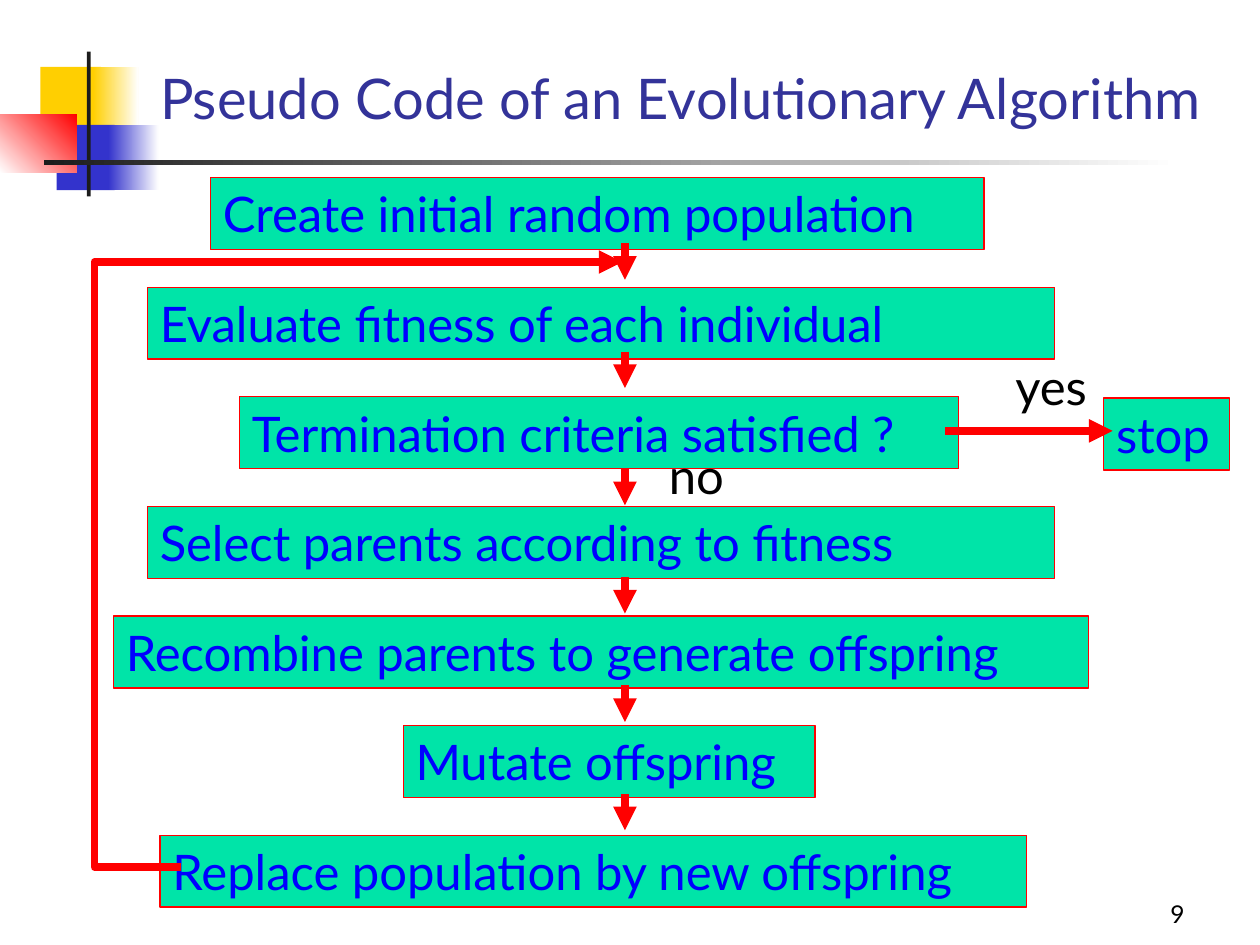
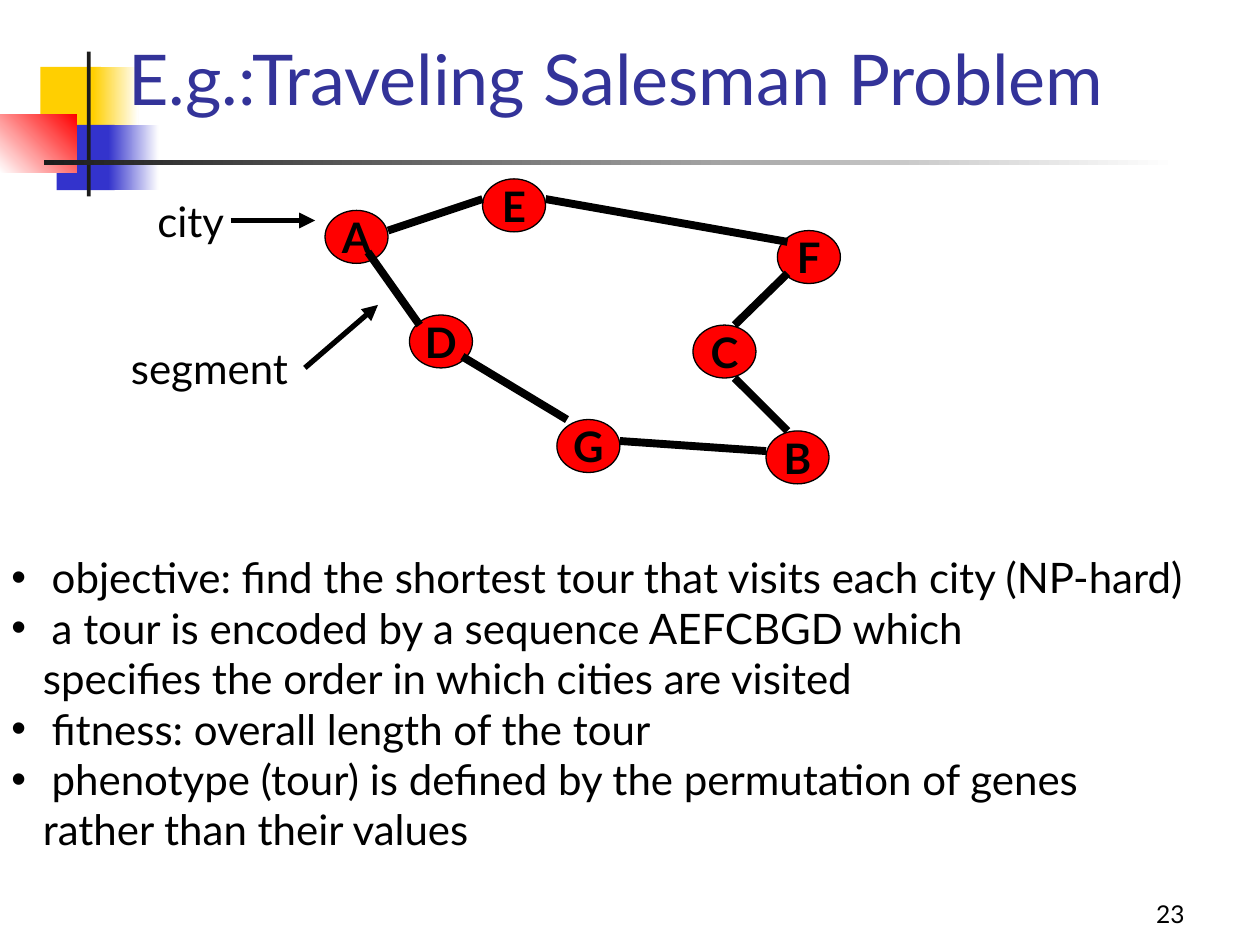
from lxml import etree
from pptx import Presentation
from pptx.dml.color import RGBColor
from pptx.enum.shapes import MSO_CONNECTOR, MSO_SHAPE
from pptx.enum.text import MSO_ANCHOR, MSO_AUTO_SIZE, PP_ALIGN
from pptx.oxml.ns import qn
from pptx.util import Pt

PX = 9144
FONT = "Lato"
RECT, OVAL = MSO_SHAPE.RECTANGLE, MSO_SHAPE.OVAL
STRAIGHT = MSO_CONNECTOR.STRAIGHT
LEFT, CENTER, RIGHT = PP_ALIGN.LEFT, PP_ALIGN.CENTER, PP_ALIGN.RIGHT
TOP, MIDDLE, BOTTOM = MSO_ANCHOR.TOP, MSO_ANCHOR.MIDDLE, MSO_ANCHOR.BOTTOM
FIXED, GROW = MSO_AUTO_SIZE.NONE, MSO_AUTO_SIZE.SHAPE_TO_FIT_TEXT

BLACK = RGBColor(0x00, 0x00, 0x00)
WHITE = RGBColor(0xFF, 0xFF, 0xFF)
RED = RGBColor(0xFF, 0x00, 0x00)
BLUE = RGBColor(0x00, 0x00, 0xFF)
MINT = RGBColor(0x00, 0xE4, 0xA8)
GOLD = RGBColor(0xFF, 0xCF, 0x01)
INDIGO = RGBColor(0x33, 0x33, 0xCC)
NAVY = RGBColor(0x33, 0x33, 0x99)
INK = RGBColor(0x1C, 0x1C, 0x1C)

BANDS = [
    (32, 53, 48, 52, GOLD, None, 0),
    (74, 53, 36, 52, GOLD, WHITE, 0),
    (45, 99, 46, 52, INDIGO, None, 0),
    (86, 99, 40, 52, INDIGO, WHITE, 0),
    (0, 91, 61, 46, WHITE, RED, 45),
    (69, 41, 3, 115, INK, None, 0),
    (35, 127, 900, 4, INK, WHITE, 0),
]
STEPS = [
    ("Create initial random population", 92, 614),
    ("Evaluate fitness of each individual", 42, 720),
    ("Termination criteria satisfied ?", 115, 571),
    ("Select parents according to fitness", 42, 720),
    ("Recombine parents to generate offspring", 15, 774),
    ("Mutate offspring", 245, 327),
    ("Replace population by new offspring", 52, 688),
]
DROPS = [52, 138, 231, 317, 403, 489]
LOOP = [(69, 547), (0, 547), (0, 67), (419, 67)]
CITIES = {
    "A": (164, 25), "E": (289, 0), "F": (523, 41), "C": (456, 116),
    "B": (514, 200), "G": (348, 191), "D": (231, 108),
}
ROADS = [
    (214, 41, 289, 16), (339, 16, 531, 50), (198, 58, 239, 116),
    (273, 141, 356, 191), (398, 208, 514, 216), (489, 158, 531, 200),
    (489, 116, 531, 75),
]
POINTS = [
    ("objective: find the shortest tour that visits each city (NP-hard)", True),
    ("a tour is encoded by a sequence AEFCBGD which", True),
    ("specifies the order in which cities are visited", False),
    ("fitness: overall length of the tour", True),
    ("phenotype (tour) is defined by the permutation of genes", True),
    ("rather than their values", False),
]


def emu(*sizes):
    """Turn px lengths into EMU."""
    return [size * PX for size in sizes]


def place(shape, *box):
    """Move a shape into a px box."""
    shape.left, shape.top, shape.width, shape.height = emu(*box)


def add_run(para, text, size, color, bold=False):
    """Add one formatted run."""
    run = para.add_run()
    run.text = text
    run.font.name = FONT
    run.font.size = Pt(size)
    run.font.bold = bold
    run.font.color.rgb = color


def write(shape, text, size, color, align=LEFT, anchor=TOP, wrap=False, fit=GROW, bold=False):
    """Put one line of text in a shape."""
    frame = shape.text_frame
    frame.word_wrap = wrap
    frame.auto_size = fit
    frame.vertical_anchor = anchor
    para = frame.paragraphs[0]
    para.alignment = align
    add_run(para, text, size, color, bold)


def label(slide, box, text, size, **style):
    """Add a black text box."""
    write(slide.shapes.add_textbox(*emu(*box)), text, size, BLACK, **style)


def block(slide, kind, box, fill, edge=None):
    """Add a flat preset shape."""
    shape = slide.shapes.add_shape(kind, *emu(*box))
    shape.shadow.inherit = False
    shape.fill.solid()
    shape.fill.fore_color.rgb = fill
    if edge is None:
        shape.line.fill.background()
    else:
        shape.line.color.rgb = edge
        shape.line.width = Pt(0.75)
    return shape


def stroke(shape, color, width, arrow):
    """Style a line and its arrowhead."""
    shape.line.color.rgb = color
    shape.line.width = Pt(width)
    if arrow:
        outline = shape.element.spPr.find(qn("a:ln"))
        etree.SubElement(outline, qn("a:tailEnd"), type="triangle")


def link(slide, ends, color, width=4.5, arrow=True):
    """Add a straight line or arrow."""
    line = slide.shapes.add_connector(STRAIGHT, *emu(*ends))
    stroke(line, color, width, arrow)
    etree.SubElement(line.element.spPr, qn("a:effectLst"))


def decor(slide, master):
    """Draw the corner bands and hand them to the master."""
    for *box, first, last, angle in BANDS:
        band = block(slide, RECT, box, first)
        if last is not None:
            band.fill.gradient()
            band.fill.gradient_angle = angle
            for stop, color, spot in zip(band.fill.gradient_stops, (first, last), (0, 1)):
                stop.color.rgb = color
                stop.position = spot
        master.shapes.element.append(band.element)


def head(slide, box, text, size, number):
    """Fill the title and the page number."""
    title = slide.shapes.title
    place(title, *box)
    write(title, text, size, NAVY, anchor=BOTTOM, wrap=True, fit=FIXED)
    label(slide, (742, 692, 208, 50), number, 14, align=RIGHT, anchor=BOTTOM,
          wrap=True, fit=FIXED)


def flow(slide, left, top):
    """Draw the flow chart from its top left corner."""
    boxes = [(text, x, 87 * row, width) for row, (text, x, width) in enumerate(STEPS)]
    boxes.append(("stop", 801, 175, 100))
    for text, x, y, width in boxes:
        step = block(slide, RECT, (left + x, top + y, width, 57), MINT, RED)
        write(step, text, 28, BLUE)
    mid = left + 421
    for y in DROPS:
        link(slide, (mid, top + y, mid, top + y + 29), RED)
    link(slide, (left + 675, top + 201, left + 808, top + 201), RED)
    for text, x, y, width in (("yes", 721, 137, 80), ("no", 446, 208, 67)):
        label(slide, (left + x, top + y, width, 57), text, 28)
    pen = slide.shapes.build_freeform(*LOOP[0], scale=PX)
    pen.add_line_segments(LOOP[1:], close=False)
    loop = pen.convert_to_shape(*emu(left, top))
    loop.shadow.inherit = False
    loop.fill.background()
    stroke(loop, RED, 4.5, True)


def tour(slide, left, top):
    """Draw the city map from its top left corner."""
    def shift(x1, y1, x2, y2):
        return left + x1, top + y1, left + x2, top + y2

    for name, (x, y) in CITIES.items():
        city = block(slide, OVAL, (left + x, top + y, 50, 42), RED, BLACK)
        write(city, name, 24, BLACK, CENTER, MIDDLE, fit=FIXED, bold=True)
    for road in ROADS:
        link(slide, shift(*road), BLACK, arrow=False)
    for text, x, y, width in (("segment", 0, 125, 158), ("city", 21, 8, 73)):
        label(slide, (left + x, top + y, width, 50), text, 24)
    for ends in ((148, 150, 206, 100), (89, 33, 156, 33)):
        link(slide, shift(*ends), BLACK, 3)


def points(slide, *box):
    """Fill the body with the bullet list."""
    body = slide.placeholders[1]
    place(body, *box)
    frame = body.text_frame
    frame.word_wrap = True
    frame.auto_size = FIXED
    for row, (text, dot) in enumerate(POINTS):
        para = frame.add_paragraph() if row else frame.paragraphs[0]
        para.space_before = Pt(0)
        props = para._p.get_or_add_pPr()
        props.set("marL", str((32 if dot else 25) * PX))
        props.set("indent", str(-32 * PX if dot else 0))
        if dot:
            tint = etree.SubElement(props, qn("a:buClr"))
            etree.SubElement(tint, qn("a:srgbClr"), val=str(BLACK))
            etree.SubElement(props, qn("a:buChar"), char="•")
        else:
            etree.SubElement(props, qn("a:buNone"))
        add_run(para, text, 24, BLACK)


def main():
    """Build both slides and save them."""
    deck = Presentation()
    deck.slide_width, deck.slide_height = emu(1000, 750)

    chart = deck.slides.add_slide(deck.slide_layouts[5])
    decor(chart, deck.slide_master)
    head(chart, (117, 17, 858, 92), "Pseudo Code of an Evolutionary Algorithm", 32, "9")
    flow(chart, 75, 141)

    sales = deck.slides.add_slide(deck.slide_layouts[1])
    head(sales, (92, 33, 867, 67), "E.g.:Traveling Salesman Problem", 40, "23")
    tour(sales, 94, 142)
    points(sales, -1, 433, 996, 250)

    deck.save("out.pptx")


if __name__ == "__main__":
    main()
